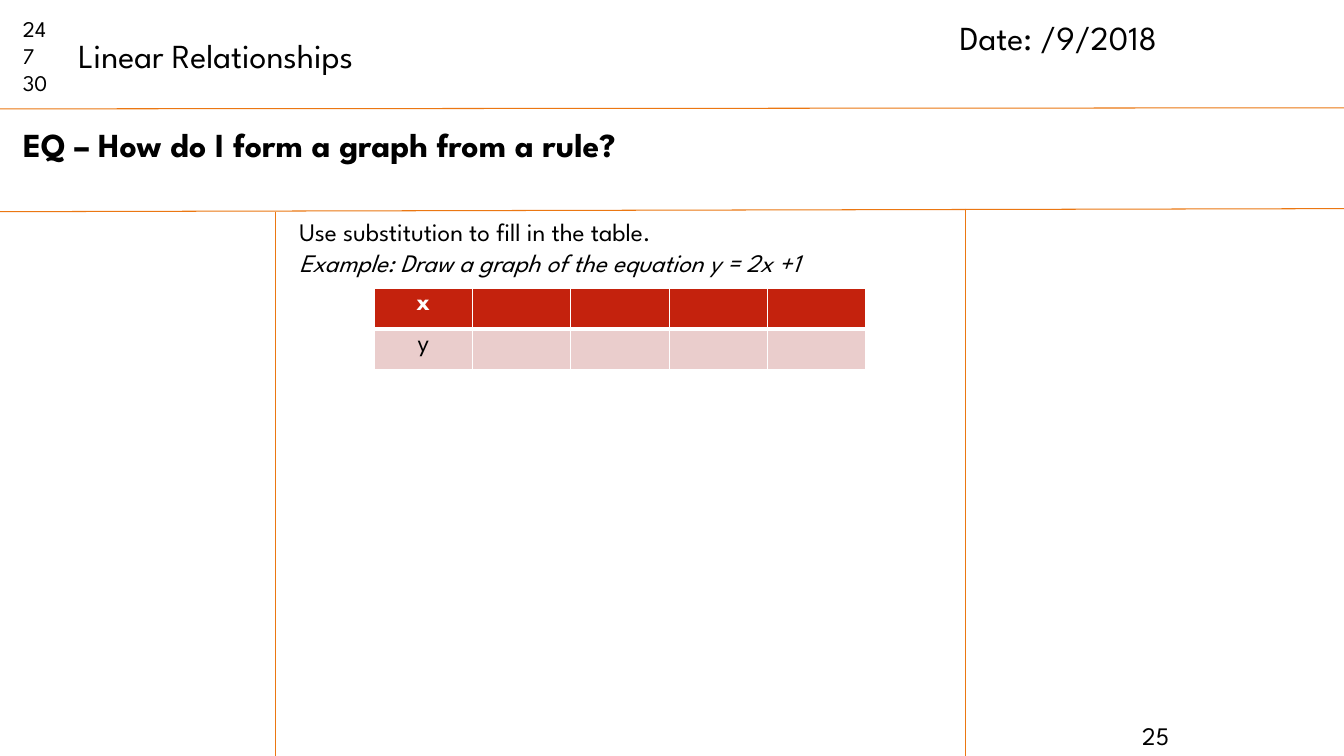
from pptx import Presentation, util as u
from pptx.dml.color import RGBColor
from pptx.enum import shapes, text
from pptx.oxml import parse_xml
from pptx.oxml.ns import nsdecls, qn

PX = 9144  # 100 px to the inch


def px(n):
    return u.Emu(n * PX)


def tint(code):
    return RGBColor.from_string(code)


class Page:
    face = "League Spartan"
    ink, white, rule = "000000", "FFFFFF", "EB7712"
    head, body = "C4220D", "EACDCC"

    def __init__(self, deck):
        self.slide = deck.slides.add_slide(deck.slide_layouts[6])

    def style(self, para, size, color=ink, bold=False, italic=False):
        font = para.font
        font.name, font.size = self.face, u.Pt(size)
        font.bold, font.italic = bold, italic
        font.color.rgb = tint(color)

    def label(self, box, lines, size, bold=False, slant=(), wrap=True):
        frame = self.slide.shapes.add_textbox(*map(px, box)).text_frame
        frame.word_wrap = wrap
        frame.auto_size = text.MSO_AUTO_SIZE.SHAPE_TO_FIT_TEXT
        frame.text = "\n".join(lines)
        for i, para in enumerate(frame.paragraphs):
            self.style(para, size, bold=bold, italic=i in slant)

    def line(self, *ends, color=rule):
        wire = self.slide.shapes.add_connector(
            shapes.MSO_CONNECTOR.STRAIGHT, *map(px, ends))
        wire.line.color.rgb = tint(color)
        wire.line.width = u.Pt(0.75)
        wire._element.spPr.append(parse_xml(f"<a:effectLst {nsdecls('a')}/>"))

    def border(self, cell, base):
        props = cell._tc.get_or_add_tcPr()
        for side, width in zip("LRTB", (1, 1, 1, base)):
            props.append(parse_xml(
                f'<a:ln{side} {nsdecls("a")} w="{u.Pt(width)}"><a:solidFill>'
                f'<a:srgbClr val="{self.white}"/></a:solidFill></a:ln{side}>'))

    def table(self, box, names, cols):
        grid = self.slide.shapes.add_table(len(names), cols, *map(px, box)).table
        for r, name in enumerate(names):
            top = r == 0
            for c in range(cols):
                cell = grid.cell(r, c)
                self.border(cell, 3 if top else 1)
                cell.fill.solid()
                cell.fill.fore_color.rgb = tint(self.head if top else self.body)
                para = cell.text_frame.paragraphs[0]
                if c == 0:
                    para.text = name
                para.alignment = text.PP_ALIGN.CENTER
                self.style(para, 18, self.white if top else self.ink, bold=top)


def main():
    deck = Presentation()
    deck.slide_width, deck.slide_height = u.Inches(13.33), u.Inches(7.5)
    page = Page(deck)

    # Page number and header rules
    page.label((1123, 710, 60, 40), ["25"], 18)
    page.line(0, 108, 1333, 107)
    page.line(0, 210, 1333, 207)

    # Column rules
    page.line(273, 210, 273, 750)
    page.line(958, 207, 958, 750)

    # Header text
    page.label((13, 10, 63, 91), ["24", "7", "30"], 16)
    page.label((68, 30, 336, 50), ["Linear Relationships"], 24, wrap=False)
    page.label((942, 12, 307, 50), ["Date: /9/2018"], 24)
    page.label((13, 118, 1291, 50),
               ["EQ – How do I form a graph from a rule?"], 24, bold=True)

    # Worked example and its table of values
    page.label((287, 210, 673, 162),
               ["Use substitution to fill in the table.",
                "Example: Draw a graph of the equation y = 2x +1"], 18, slant=(1,))
    page.table((371, 286, 488, 81), ["x", "y"], 5)

    deck.save("out.pptx")


if __name__ == "__main__":
    main()
